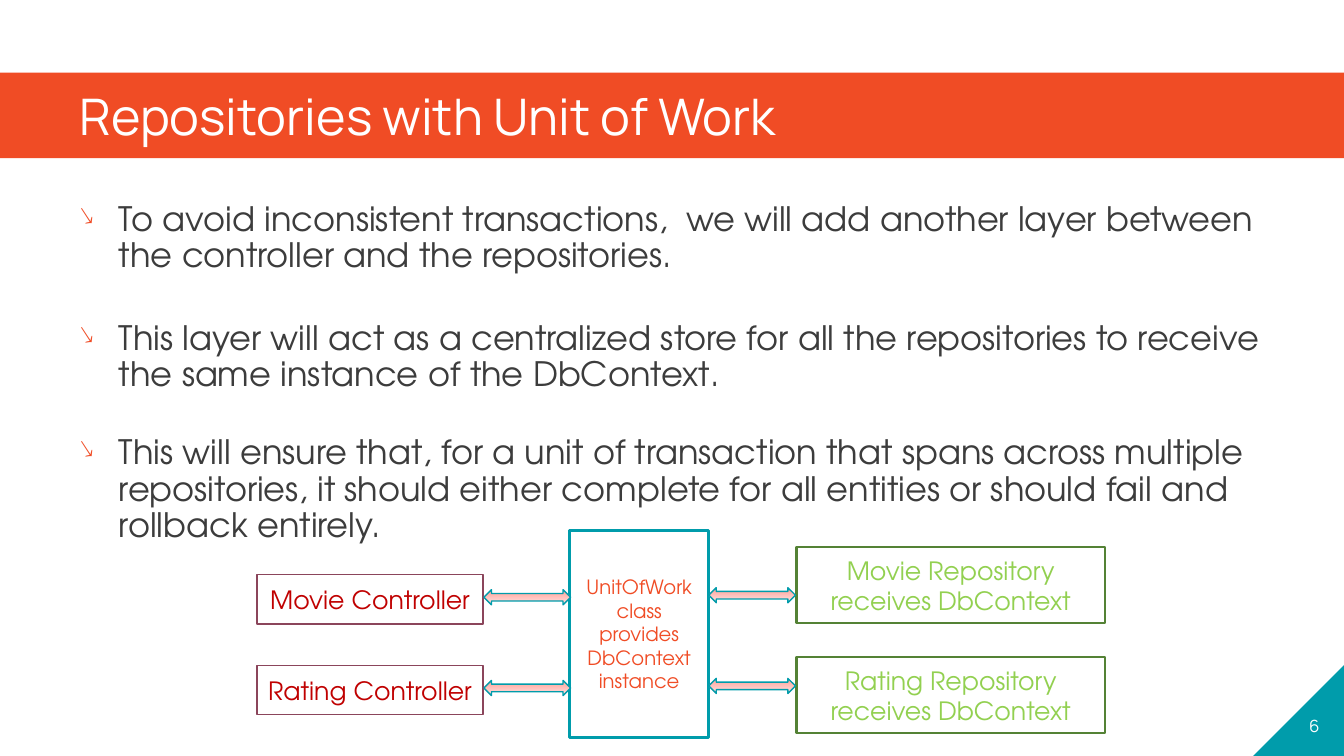
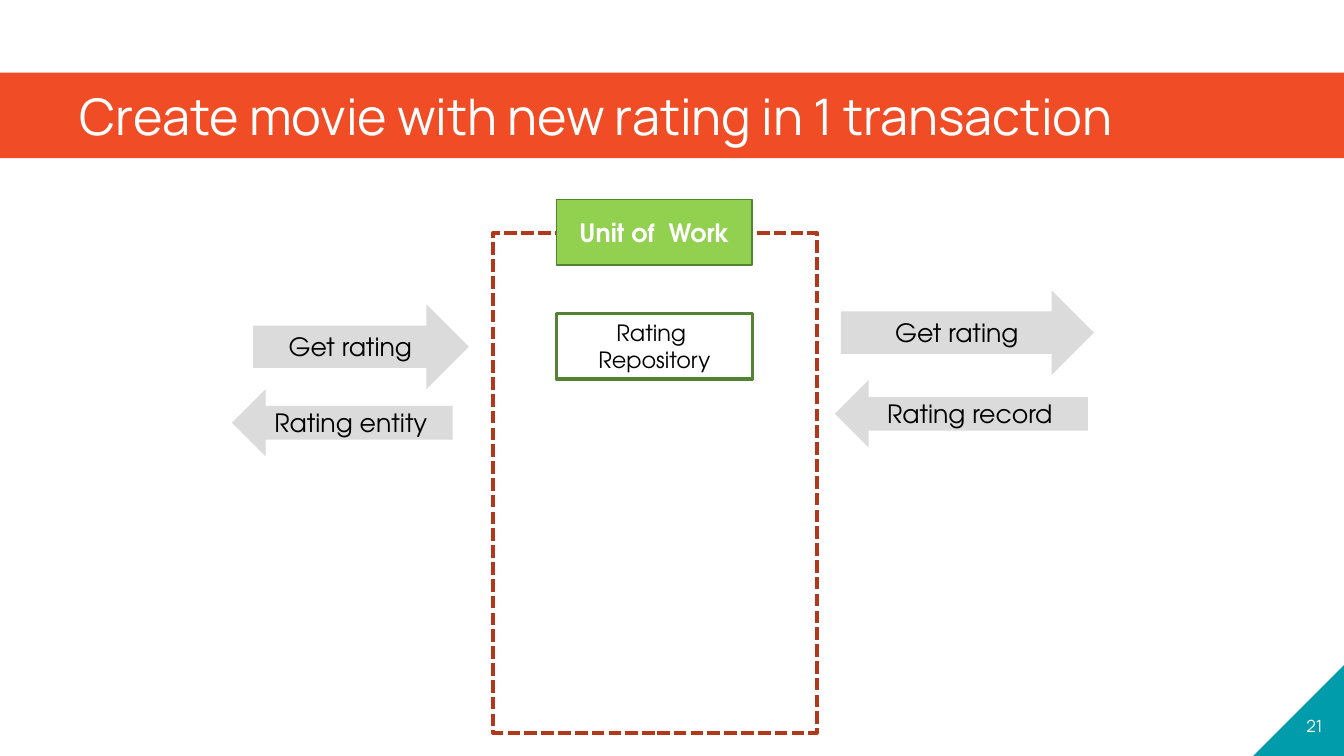
"""Build two slides on repositories that share a unit of work."""
from dataclasses import dataclass

from lxml import etree
from pptx import Presentation
from pptx import util as u
from pptx.dml.color import RGBColor
from pptx.enum import dml, shapes, text


@dataclass(frozen=True)
class Theme:
    heading_font: str = "Manrope"
    body_font: str = "TeX Gyre Adventor"
    orange: str = "F04C25"
    teal: str = "009CAB"
    white: str = "FFFFFF"
    black: str = "000000"
    ink: str = "3C3C3C"
    red: str = "C00000"
    plum: str = "8B455B"
    lime: str = "92D050"
    green: str = "548235"
    rust: str = "B2381B"
    grey: str = "DBDBDB"
    pink: str = "FF9F97"
    pale_pink: str = "FFE2E0"
    title_size: int = 36
    body_size: int = 24
    label_size: int = 18
    repository_size: int = 16
    unit_size: int = 14
    number_size: int = 12


theme = Theme()
kinds = shapes.MSO_SHAPE


def add_block(slide, kind, box, label="", color=theme.black, size=theme.label_size,
              fill=None, line=None, weight=1, font=theme.body_font, bold=False):
    shape = slide.shapes.add_shape(kind, *map(u.Inches, box))
    shape.shadow.inherit = False
    if fill:
        shape.fill.solid()
        shape.fill.fore_color.rgb = RGBColor.from_string(fill)
    else:
        shape.fill.background()
    if line:
        shape.line.color.rgb = RGBColor.from_string(line)
        shape.line.width = u.Pt(weight)
    else:
        shape.line.fill.background()
    if label:
        frame = shape.text_frame
        frame.text = label
        frame.vertical_anchor = text.MSO_ANCHOR.MIDDLE
        for paragraph in frame.paragraphs:
            paragraph.alignment = text.PP_ALIGN.CENTER
            style_text(paragraph, font, size, color, bold)
    return shape


def style_text(paragraph, font, size, color, bold=False):
    paragraph.font.name = font
    paragraph.font.size = u.Pt(size)
    paragraph.font.bold = bold
    paragraph.font.color.rgb = RGBColor.from_string(color)


presentation = Presentation()
presentation.slide_width = u.Inches(13.33)
presentation.slide_height = u.Inches(7.5)

slides = []
for title, number in (("Repositories with Unit of Work", "6"),
                      ("Create movie with new rating in 1 transaction", "21")):
    slide = presentation.slides.add_slide(presentation.slide_layouts[6])
    slides.append(slide)

    band = add_block(slide, kinds.RECTANGLE, (0, 0.72, 13.33, 0.85), title, theme.white,
                     theme.title_size, theme.orange, font=theme.heading_font)
    band.text_frame.margin_left = band.text_frame.margin_right = u.Inches(0.79)
    band.text_frame.margin_top = band.text_frame.margin_bottom = 0
    band.text_frame.paragraphs[0].alignment = text.PP_ALIGN.LEFT

    corner = add_block(slide, kinds.RIGHT_TRIANGLE, (12.43, 6.59, 0.91, 0.91), number,
                       theme.white, theme.number_size, theme.teal, font=theme.heading_font)
    corner._element.spPr.xfrm.set("flipH", "1")
    frame = corner.text_frame
    frame.word_wrap = False
    frame.vertical_anchor = text.MSO_ANCHOR.BOTTOM
    frame.margin_left = frame.margin_right = frame.margin_top = 0
    frame.margin_bottom = u.Inches(0.12)

overview, transaction = slides

body = overview.shapes.add_textbox(0, u.Inches(1.59), u.Inches(13.33), u.Inches(5.01))
frame = body.text_frame
frame.word_wrap = True
frame.margin_left = frame.margin_right = u.Inches(0.79)
frame.margin_top = u.Inches(0.42)
points = (
    ("To avoid inconsistent transactions,  we will add another layer between the controller "
     "and the repositories.", 0),
    ("This layer will act as a centralized store for all the repositories to receive the same "
     "instance of the DbContext.", 33),
    ("This will ensure that, for a unit of transaction that spans across multiple repositories, "
     "it should either complete for all entities or should fail and rollback entirely.", 30),
)
namespace = "http://schemas.openxmlformats.org/drawingml/2006/main"
for index, (point, gap) in enumerate(points):
    paragraph = frame.add_paragraph() if index else frame.paragraphs[0]
    paragraph.text = point
    paragraph.line_spacing = 0.9
    paragraph.space_before = u.Pt(gap)
    properties = paragraph._p.get_or_add_pPr()
    properties.set("marL", str(u.Inches(0.39)))
    properties.set("indent", str(u.Inches(-0.39)))
    bullet_color = etree.SubElement(properties, f"{{{namespace}}}buClr")
    etree.SubElement(bullet_color, f"{{{namespace}}}srgbClr", val=theme.orange)
    etree.SubElement(properties, f"{{{namespace}}}buSzPct", val="75000")
    etree.SubElement(properties, f"{{{namespace}}}buChar", char="↘")
    style_text(paragraph, theme.body_font, theme.body_size, theme.ink)

for row, controller in enumerate(("Movie Controller", "Rating Controller")):
    add_block(overview, kinds.RECTANGLE, (2.55, 5.7 + row * 0.9, 2.24, 0.49), controller,
              theme.red, line=theme.plum)
for row, repository in enumerate(("Movie Repository\nreceives DbContext",
                                  "Rating Repository\nreceives DbContext")):
    add_block(overview, kinds.RECTANGLE, (7.9, 5.43 + row * 1.09, 3.06, 0.75), repository,
              theme.lime, line=theme.green, weight=1.5)
add_block(overview, kinds.RECTANGLE, (5.65, 5.26, 1.38, 2.06),
          "UnitOfWork\nclass\nprovides DbContext\ninstance", theme.orange, theme.unit_size,
          line=theme.teal, weight=2.25)
for left, top in ((4.8, 5.85), (7.03, 5.83)):
    for row in range(2):
        arrow = add_block(overview, kinds.LEFT_RIGHT_ARROW, (left, top + row * 0.9, 0.86, 0.15),
                          line=theme.teal)
        arrow.fill.gradient()
        arrow.fill.gradient_angle = 270
        for stop, color in zip(arrow.fill.gradient_stops, (theme.pink, theme.pale_pink)):
            stop.color.rgb = RGBColor.from_string(color)

boundary = add_block(transaction, kinds.RECTANGLE, (4.89, 2.31, 3.21, 4.96),
                     line=theme.rust, weight=3)
boundary.line.dash_style = dml.MSO_LINE.SQUARE_DOT
add_block(transaction, kinds.RECTANGLE, (5.52, 1.98, 1.94, 0.65), "Unit of  Work",
          theme.white, fill=theme.lime, line=theme.green, bold=True)
add_block(transaction, kinds.RECTANGLE, (5.52, 3.11, 1.94, 0.65), "Rating \nRepository",
          size=theme.repository_size, line=theme.green, weight=2.25)
for kind, box, message in (
    (kinds.RIGHT_ARROW, (2.51, 3.02, 2.14, 0.84), "Get rating"),
    (kinds.LEFT_ARROW, (2.3, 3.86, 2.19, 0.67), "Rating entity"),
    (kinds.RIGHT_ARROW, (8.34, 2.88, 2.51, 0.84), "Get rating"),
    (kinds.LEFT_ARROW, (8.28, 3.77, 2.51, 0.67), "Rating record"),
):
    add_block(transaction, kind, box, message, fill=theme.grey)

presentation.save("out.pptx")
